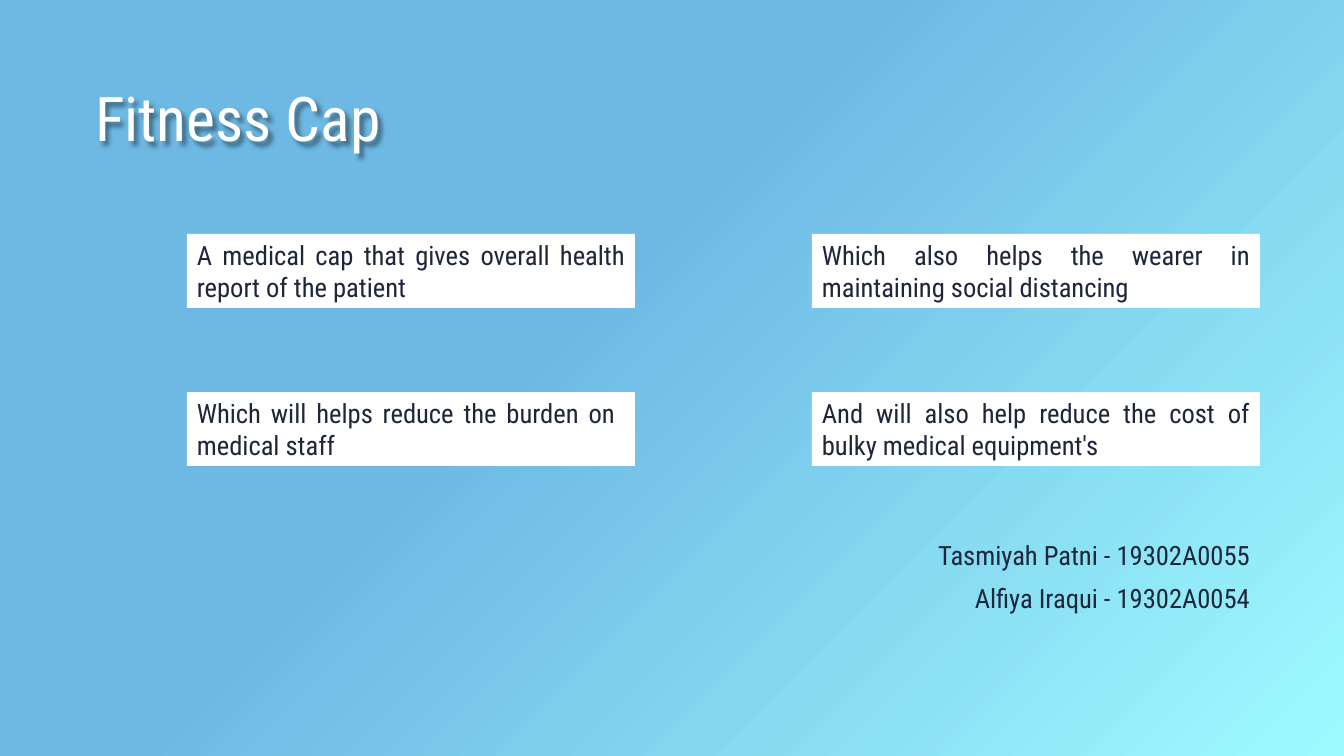
from pptx import Presentation
from pptx.dml.color import RGBColor
from pptx.enum.shapes import MSO_SHAPE as SHAPE
from pptx.enum.text import MSO_ANCHOR as ANCHOR, MSO_AUTO_SIZE as AUTO, PP_ALIGN as ALIGN
from pptx.oxml import parse_xml
from pptx.oxml.ns import nsdecls
from pptx.util import Emu, Pt

SLIDE_W, SLIDE_H = 1344, 756
SCALE = 12192000 / SLIDE_W
FONT = "Roboto Condensed"
WHITE = RGBColor(0xFF, 0xFF, 0xFF)
NAVY = RGBColor(0x1E, 0x26, 0x3A)
AQUA = RGBColor(0x9F, 0xFA, 0xFF)
SKY = RGBColor(0x6D, 0xB9, 0xE4)

CARD_X, CARD_Y = 187, 234
CARD_W, CARD_H = 448, 74
COLUMN_STEP, ROW_STEP = 625, 158
CARDS = [
    ["A medical cap that gives overall health report of the patient",
     "Which also helps the wearer in maintaining social distancing"],
    ["Which will helps reduce the burden on  medical staff",
     "And will also help reduce the cost of bulky medical equipment's"],
]
AUTHORS = ["Tasmiyah Patni - 19302A0055", "Alfiya Iraqui - 19302A0054"]


def px(n):
    return Emu(round(n * SCALE))


def box(*lengths):
    return [px(n) for n in lengths]


def add_run(p, text, size, color):
    r = p.add_run()
    r.text = text
    r.font.name = FONT
    r.font.size = Pt(size)
    r.font.color.rgb = color


def set_background(s):
    stops = "".join(
        f'<a:gs pos="{pos * 1000}"><a:srgbClr val="{color}"/></a:gs>'
        for pos, color in [(0, AQUA), (58, SKY), (100, SKY)])
    s.element.cSld.insert(0, parse_xml(
        f'<p:bg {nsdecls("p", "a")}><p:bgPr><a:gradFill rotWithShape="1">'
        f'<a:gsLst>{stops}</a:gsLst>'
        '<a:path path="circle"><a:fillToRect l="100000" t="100000"/></a:path>'
        '<a:tileRect r="-100000" b="-100000"/>'
        '</a:gradFill><a:effectLst/></p:bgPr></p:bg>'))


def add_soft_shadow(sp):
    sp.element.spPr.append(parse_xml(
        f'<a:effectLst {nsdecls("a")}>'
        '<a:outerShdw blurRad="38100" dist="38100" dir="2700000" algn="tl">'
        '<a:srgbClr val="000000"><a:alpha val="43000"/></a:srgbClr>'
        '</a:outerShdw></a:effectLst>'))


def add_title(s, text):
    sp = s.shapes.add_textbox(*box(95, 67, 1119, 88))
    add_soft_shadow(sp)
    tf = sp.text_frame
    tf.word_wrap = True
    tf.vertical_anchor = ANCHOR.BOTTOM
    tf.margin_left = tf.margin_top = tf.margin_right = tf.margin_bottom = 0
    p = tf.paragraphs[0]
    p.line_spacing = 0.9
    add_run(p, text, 44, WHITE)


def add_card(s, x, y, text):
    sp = s.shapes.add_shape(SHAPE.RECTANGLE, *box(x, y, CARD_W, CARD_H))
    sp.shadow.inherit = False
    sp.fill.solid()
    sp.fill.fore_color.rgb = WHITE
    sp.line.fill.background()
    tf = sp.text_frame
    tf.word_wrap = True
    tf.auto_size = AUTO.SHAPE_TO_FIT_TEXT
    tf.vertical_anchor = ANCHOR.TOP
    p = tf.paragraphs[0]
    p.alignment = ALIGN.JUSTIFY
    add_run(p, text, 19, NAVY)


def add_authors(s, names):
    tf = s.shapes.add_textbox(*box(871, 538, 389, 75)).text_frame
    tf.word_wrap = True
    for i, name in enumerate(names):
        p = tf.add_paragraph() if i else tf.paragraphs[0]
        p.alignment = ALIGN.RIGHT
        p.line_spacing = 0.9
        if i:
            p.space_before = Pt(10)
        add_run(p, name, 19, NAVY)


def main():
    prs = Presentation()
    prs.slide_width, prs.slide_height = box(SLIDE_W, SLIDE_H)
    s = prs.slides.add_slide(prs.slide_layouts[6])
    set_background(s)
    add_title(s, "Fitness Cap")
    for row, texts in enumerate(CARDS):
        for column, text in enumerate(texts):
            add_card(s, CARD_X + column * COLUMN_STEP, CARD_Y + row * ROW_STEP, text)
    add_authors(s, AUTHORS)
    prs.save("out.pptx")


if __name__ == "__main__":
    main()
